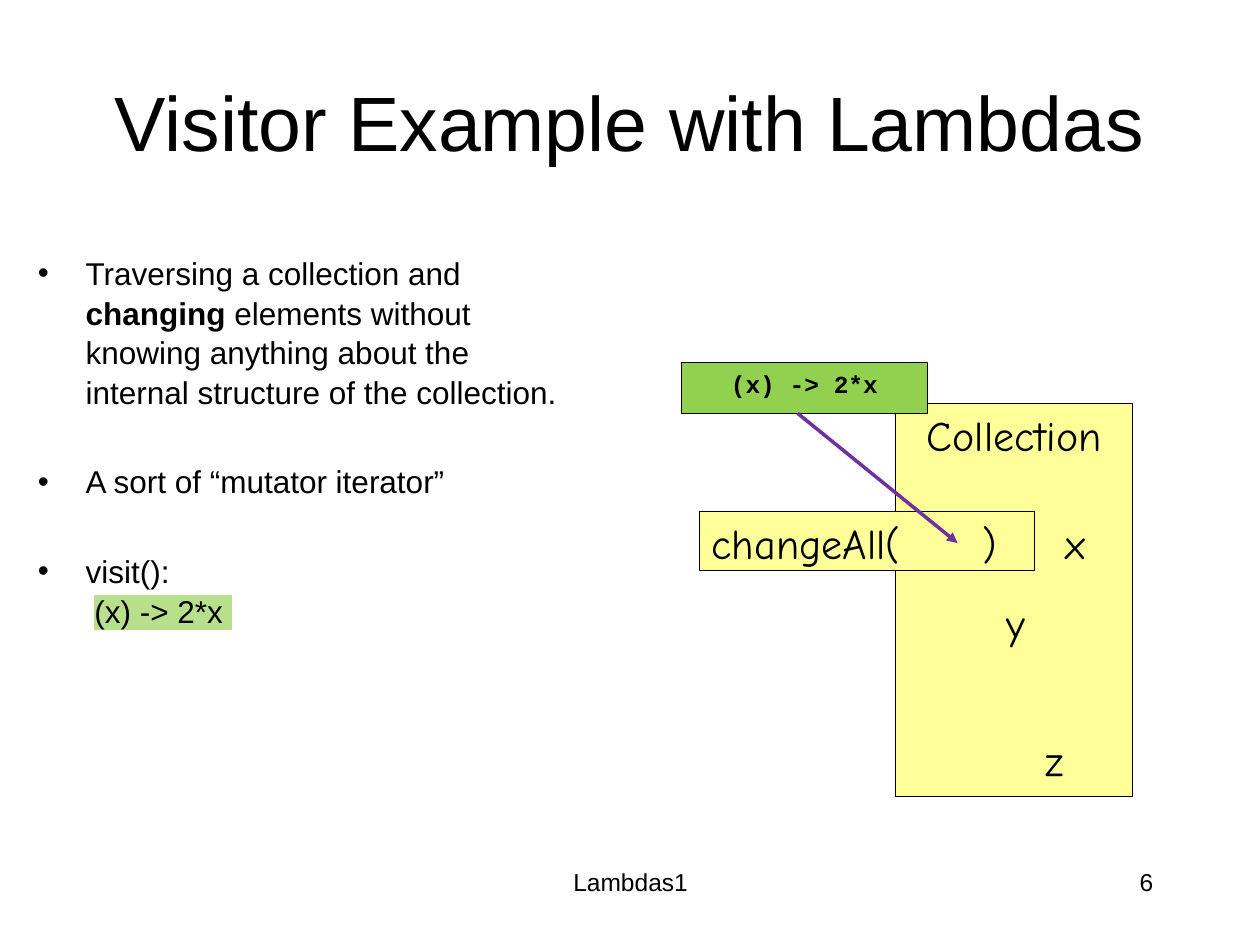
"""Build the slide on the visitor example with lambdas."""
from dataclasses import dataclass

import lxml.etree
import pptx
import pptx.dml.color
import pptx.enum.shapes
import pptx.enum.text
import pptx.oxml.ns
import pptx.util

Inches = pptx.util.Inches
Pt = pptx.util.Pt
ALIGN = pptx.enum.text.PP_ALIGN
ANCHOR = pptx.enum.text.MSO_ANCHOR
COLORS = {"ink": "000000", "class": "FFFF99", "lambda": "92D050",
          "highlight": "B8E08C", "arrow": "7030A0"}
HAND = "Comic Neue"


@dataclass
class Label:
    text: str
    left: float
    top: float
    width: float
    height: float
    size: float = 24
    font: str = HAND
    align: ALIGN = ALIGN.LEFT
    bold: bool = False
    fill: str = ""
    tab: float = 0


@dataclass
class Run:
    text: str
    bold: bool = False
    highlight: bool = False


def rgb(name: str) -> pptx.dml.color.RGBColor:
    return pptx.dml.color.RGBColor.from_string(COLORS[name])


def add_xml(parent, tag: str, **attrs: str):
    return lxml.etree.SubElement(parent, pptx.oxml.ns.qn(tag), attrs)


def place(sp, left: float, top: float, width: float, height: float) -> None:
    sp.left, sp.top = Inches(left), Inches(top)
    sp.width, sp.height = Inches(width), Inches(height)


def add_run(p, text: str, size: float, font: str, bold: bool = False):
    r = p.add_run()
    r.text = text
    r.font.size, r.font.name, r.font.bold = Pt(size), font, bold
    r.font.color.rgb = rgb("ink")
    return r


def add_label(slide, label: Label) -> None:
    box = [Inches(v) for v in (label.left, label.top, label.width, label.height)]
    if label.fill:
        sp = slide.shapes.add_shape(pptx.enum.shapes.MSO_SHAPE.RECTANGLE, *box)
        sp.shadow.inherit = False
        sp.fill.solid()
        sp.fill.fore_color.rgb = rgb(label.fill)
        sp.line.color.rgb = rgb("ink")
        sp.line.width = Pt(0.75)
    else:
        sp = slide.shapes.add_textbox(*box)
    tf = sp.text_frame
    tf.word_wrap = True
    tf.vertical_anchor = ANCHOR.TOP
    p = tf.paragraphs[0]
    p.alignment = label.align
    if label.tab:
        tabs = add_xml(p._p.get_or_add_pPr(), "a:tabLst")
        add_xml(tabs, "a:tab", pos=str(Inches(label.tab)), algn="l")
    add_run(p, label.text, label.size, label.font, label.bold)


def add_bullet(p, lines: list[list[Run]], space: float) -> None:
    pPr = p._p.get_or_add_pPr()
    pPr.set("marL", str(Inches(0.38)))
    pPr.set("indent", str(-Inches(0.38)))
    add_xml(pPr, "a:buFont", typeface="Arial")
    add_xml(pPr, "a:buChar", char="•")
    p.line_spacing = 1.05
    p.space_before = Pt(space)
    for i, line in enumerate(lines):
        if i:
            p.add_line_break()
        for run in line:
            r = add_run(p, run.text, 18, "Arial", run.bold)
            if run.highlight:
                mark = lxml.etree.Element(pptx.oxml.ns.qn("a:highlight"))
                add_xml(mark, "a:srgbClr", val=COLORS["highlight"])
                r._r.rPr.find(pptx.oxml.ns.qn("a:solidFill")).addnext(mark)


def add_arrow(slide, x1: float, y1: float, x2: float, y2: float) -> None:
    line = slide.shapes.add_connector(
        pptx.enum.shapes.MSO_CONNECTOR.STRAIGHT,
        Inches(x1), Inches(y1), Inches(x2), Inches(y2))
    line.line.color.rgb = rgb("arrow")
    line.line.width = Pt(2)
    add_xml(line.line._get_or_add_ln(), "a:tailEnd", type="triangle")
    add_xml(line._element.spPr, "a:effectLst")


BULLETS = [
    [[Run("Traversing a collection and "), Run("changing ", bold=True),
      Run("elements without knowing anything about the internal structure "
          "of the collection.")]],
    [[Run("A sort of “mutator iterator”")]],
    [[Run("visit():")], [Run(" "), Run("(x) -> 2*x ", highlight=True)]],
]
LABELS = [
    Label("Lambdas1", 3.42, 6.83, 3.17, 0.5, 14, "Arial", ALIGN.CENTER),
    Label("6", 7.17, 6.83, 2.08, 0.5, 14, "Arial", ALIGN.RIGHT),
    Label("Collection", 7.11, 3.2, 1.88, 3.12, align=ALIGN.CENTER, fill="class"),
    Label("y", 7.89, 4.69, 0.38, 0.5),
    Label("x", 8.36, 4.06, 0.38, 0.5),
    Label("z", 8.2, 5.78, 0.38, 0.5),
    Label("changeAll(\t)", 5.55, 4.06, 2.66, 0.47, fill="class", tab=2.15),
    Label("(x) -> 2*x", 5.41, 2.88, 1.95, 0.4, 14, "Courier New",
          ALIGN.CENTER, True, "lambda"),
]


def main() -> None:
    prs = pptx.Presentation()
    prs.slide_width, prs.slide_height = Inches(10), Inches(7.5)
    slide = prs.slides.add_slide(prs.slide_layouts[1])

    title, body = slide.placeholders
    place(title, 0.75, 0.52, 8.5, 0.88)
    tf = title.text_frame
    tf.auto_size = pptx.enum.text.MSO_AUTO_SIZE.NONE
    tf.vertical_anchor = ANCHOR.MIDDLE
    tf.paragraphs[0].alignment = ALIGN.CENTER
    add_run(tf.paragraphs[0], "Visitor Example with Lambdas", 44, "Arial")

    place(body, 0.2, 1.95, 4.49, 3.71)
    tf = body.text_frame
    tf.auto_size = pptx.enum.text.MSO_AUTO_SIZE.NONE
    for i, lines in enumerate(BULLETS):
        p = tf.add_paragraph() if i else tf.paragraphs[0]
        add_bullet(p, lines, 28.5 if i else 0)

    for label in LABELS:
        add_label(slide, label)
    add_arrow(slide, 6.33, 3.28, 7.6, 4.31)
    prs.save("out.pptx")


if __name__ == "__main__":
    main()
